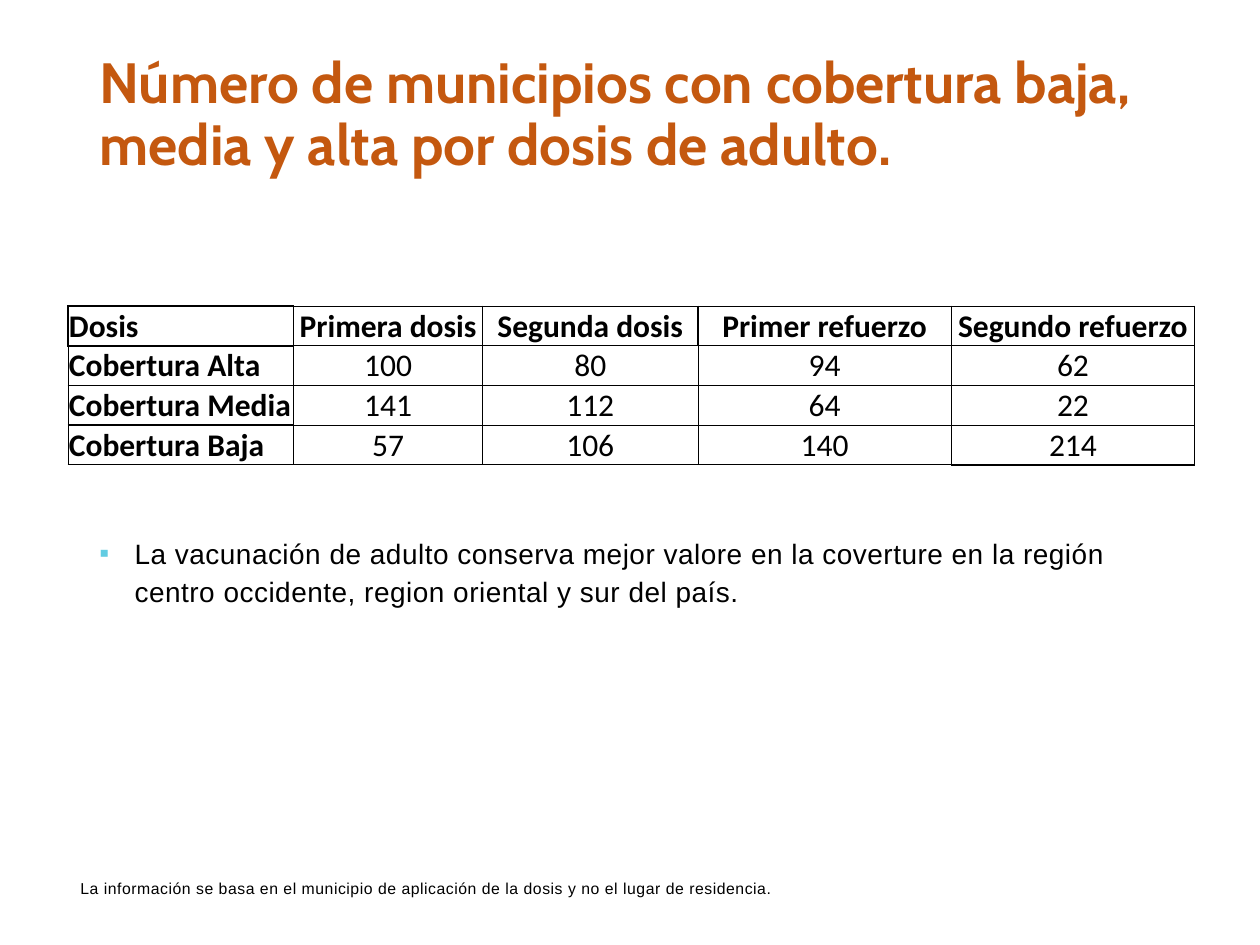
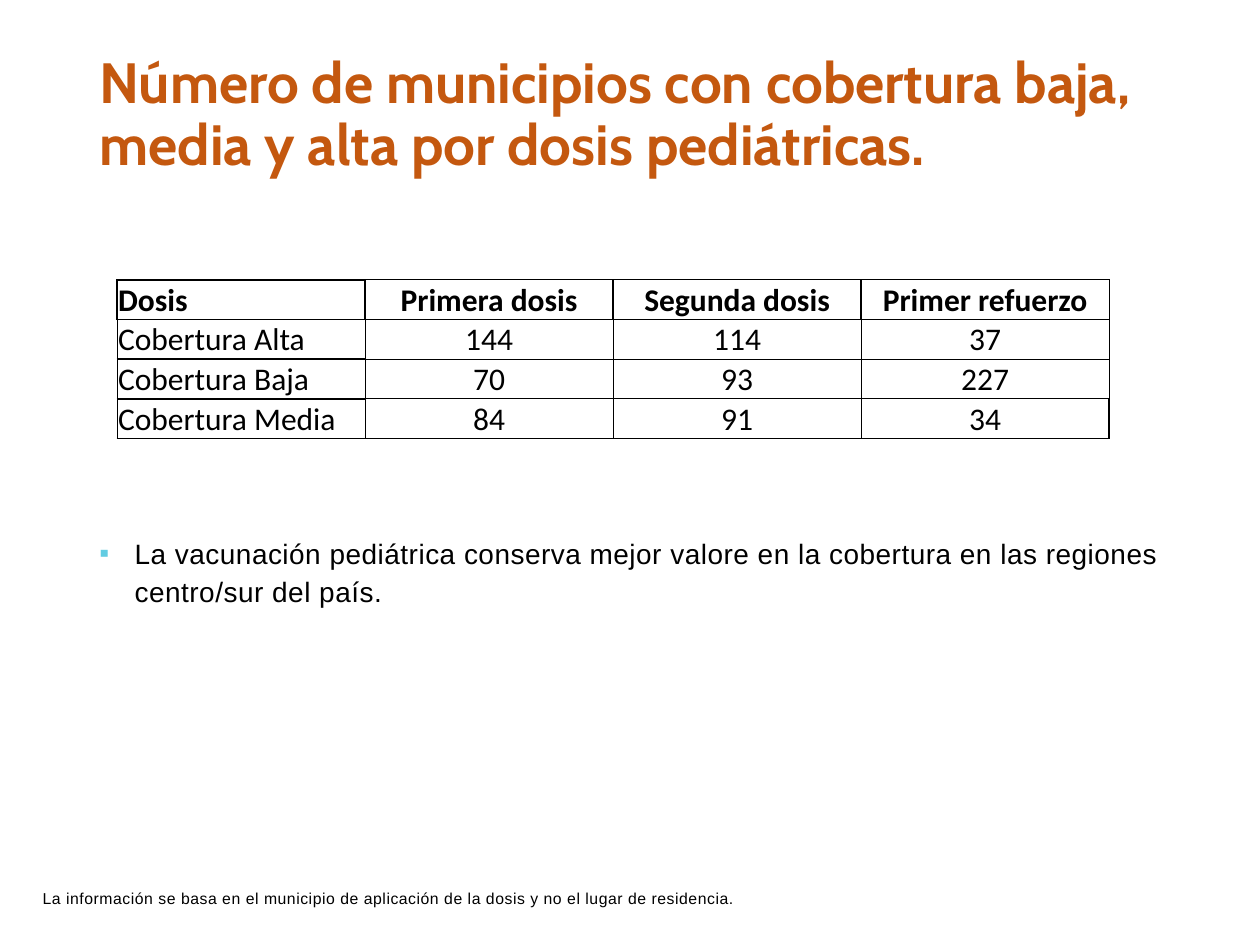
from lxml import etree
from pptx import Presentation
from pptx.dml.color import RGBColor
from pptx.enum import text as t
from pptx.oxml import ns
from pptx.util import Cm, Pt

RUST = RGBColor(0xC4, 0x58, 0x0F)
BLACK = RGBColor(0, 0, 0)
SKY = RGBColor(0x62, 0xCC, 0xE2)

# Shared text styles: font and paragraph values
LEFT, MID = t.PP_ALIGN.LEFT, t.PP_ALIGN.CENTER
HEAD = ({"name": "Cabin", "size": Pt(32.4), "bold": True}, RUST,
        {"alignment": LEFT, "line_spacing": 0.9})
FLOW = {"alignment": LEFT, "line_spacing": 1.14,
        "space_before": Pt(0), "space_after": Pt(11.2)}
LIST = ({"name": "Arial", "size": Pt(16)}, BLACK, FLOW)
NOTE = ({"name": "Arial", "size": Pt(9)}, BLACK, FLOW)
CELL = {"name": "Calibri", "size": Pt(18)}

# Shared places: left, top, width, height in cm
TITLE_BOX = (1.75, 1.02, 21.9, 2.64)
LIST_BOX = (1.75, 10.59, 21.9, 2.44)
NOTE_SIZE = (21.9, 1.02)
ROW = 0.8
THIN, BOLD = Pt(0.5), Pt(1)

NOTE_TEXT = ("La información se basa en el municipio de aplicación de la "
             "dosis y no el lugar de residencia.")


def apply(item, values):
    for key, value in values.items():
        setattr(item, key, value)


def add_xml(parent, tag, **attrs):
    return etree.SubElement(parent, ns.qn(tag), attrs)


def write(frame, words, style, anchor=t.MSO_ANCHOR.TOP):
    font, color, flow = style
    apply(frame, {"word_wrap": True, "auto_size": t.MSO_AUTO_SIZE.NONE,
                  "vertical_anchor": anchor})
    para = frame.paragraphs[0]
    apply(para, flow)
    run = para.add_run()
    run.text = words
    apply(run.font, font)
    run.font.color.rgb = color
    return para, run


def place(shape, box):
    apply(shape, dict(zip(("left", "top", "width", "height"), map(Cm, box))))


def space(run):
    run.font._element.set("spc", "30")


def add_title(slide, words, box):
    shape = slide.shapes.title
    place(shape, box)
    write(shape.text_frame, words, HEAD, t.MSO_ANCHOR.MIDDLE)


def add_list(slide, words, box):
    shape = slide.placeholders[1]
    place(shape, box)
    para, run = write(shape.text_frame, words, LIST)
    space(run)
    props = para._p.get_or_add_pPr()
    props.set("marL", str(Cm(0.71)))
    props.set("indent", str(-Cm(0.71)))
    add_xml(add_xml(props, "a:buClr"), "a:srgbClr", val=str(SKY))
    add_xml(props, "a:buFont", typeface="Arial")
    add_xml(props, "a:buChar", char="▪")


def add_note(slide, words, box):
    shape = slide.shapes.add_textbox(*map(Cm, box))
    space(write(shape.text_frame, words, NOTE)[1])


def bold_sides(row, col, last_row, last_col):
    """Sides of a cell that carry the heavier line."""
    if row == 0:
        if col == 0:
            return "LRTB"
        return "L" if col == last_col else "LR"
    if col == 0:
        return "T" if row == last_row else "TB"
    return "RB" if (row, col) == (last_row, last_col) else ""


def add_borders(cell, heavy):
    props = cell._tc.get_or_add_tcPr()
    for side in "LRTB":
        width = BOLD if side in heavy else THIN
        line = add_xml(props, f"a:ln{side}", w=str(width))
        add_xml(add_xml(line, "a:solidFill"), "a:srgbClr", val=str(BLACK))
    cell.fill.background()


def add_grid(slide, rows, widths, left, top, anchor, bold_names):
    size = len(rows), len(widths)
    box = (left, top, sum(widths), ROW * len(rows))
    grid = slide.shapes.add_table(*size, *map(Cm, box)).table
    apply(grid, {"first_row": False, "horz_banding": False})
    for col, width in zip(grid.columns, widths):
        col.width = Cm(width)
    for r, row in enumerate(rows):
        grid.rows[r].height = Cm(ROW)
        for c, value in enumerate(row):
            cell = grid.cell(r, c)
            apply(cell, {"margin_left": Cm(0.02), "margin_right": Cm(0.02),
                         "margin_top": Cm(0.02), "margin_bottom": 0,
                         "vertical_anchor": anchor})
            para = cell.text_frame.paragraphs[0]
            para.alignment = MID if c else LEFT
            run = para.add_run()
            run.text = str(value)
            apply(run.font, CELL)
            run.font.bold = r == 0 or (c == 0 and bold_names)
            run.font.color.rgb = BLACK
            add_borders(cell, bold_sides(r, c, size[0] - 1, size[1] - 1))


def add_slide(deck, title, point, note_at, grid):
    slide = deck.slides.add_slide(deck.slide_layouts[1])
    add_title(slide, title, TITLE_BOX)
    add_grid(slide, **grid)
    add_list(slide, point, LIST_BOX)
    add_note(slide, NOTE_TEXT, note_at + NOTE_SIZE)


ADULT = {
    "rows": [
        ("Dosis", "Primera dosis", "Segunda dosis", "Primer refuerzo",
         "Segundo refuerzo"),
        ("Cobertura Alta", 100, 80, 94, 62),
        ("Cobertura Media", 141, 112, 64, 22),
        ("Cobertura Baja", 57, 106, 140, 214),
    ],
    "widths": (4.55, 3.81, 4.34, 5.11, 4.9), "left": 1.37, "top": 6.17,
    "anchor": t.MSO_ANCHOR.MIDDLE, "bold_names": True,
}
CHILD = {
    "rows": [
        ("Dosis", "Primera dosis", "Segunda dosis", "Primer refuerzo"),
        ("Cobertura Alta", 144, 114, 37),
        ("Cobertura Baja", 70, 93, 227),
        ("Cobertura Media", 84, 91, 34),
    ],
    "widths": (5,) * 4, "left": 2.36, "top": 5.64,
    "anchor": t.MSO_ANCHOR.BOTTOM, "bold_names": False,
}


def main():
    deck = Presentation()
    apply(deck, {"slide_width": Cm(25.4), "slide_height": Cm(19.05)})
    lead = "Número de municipios con cobertura baja, media y alta por dosis "
    # Adult doses
    add_slide(deck, lead + "de adulto.",
              "La vacunación de adulto conserva mejor valore en la coverture "
              "en la región centro occidente, region oriental y sur del país.",
              (1.37, 17.53), ADULT)
    # Child doses
    add_slide(deck, lead + "pediátricas.",
              "La vacunación pediátrica conserva mejor valore en la cobertura "
              "en las regiones centro/sur del país.",
              (0.61, 17.73), CHILD)
    deck.save("out.pptx")


if __name__ == "__main__":
    main()
